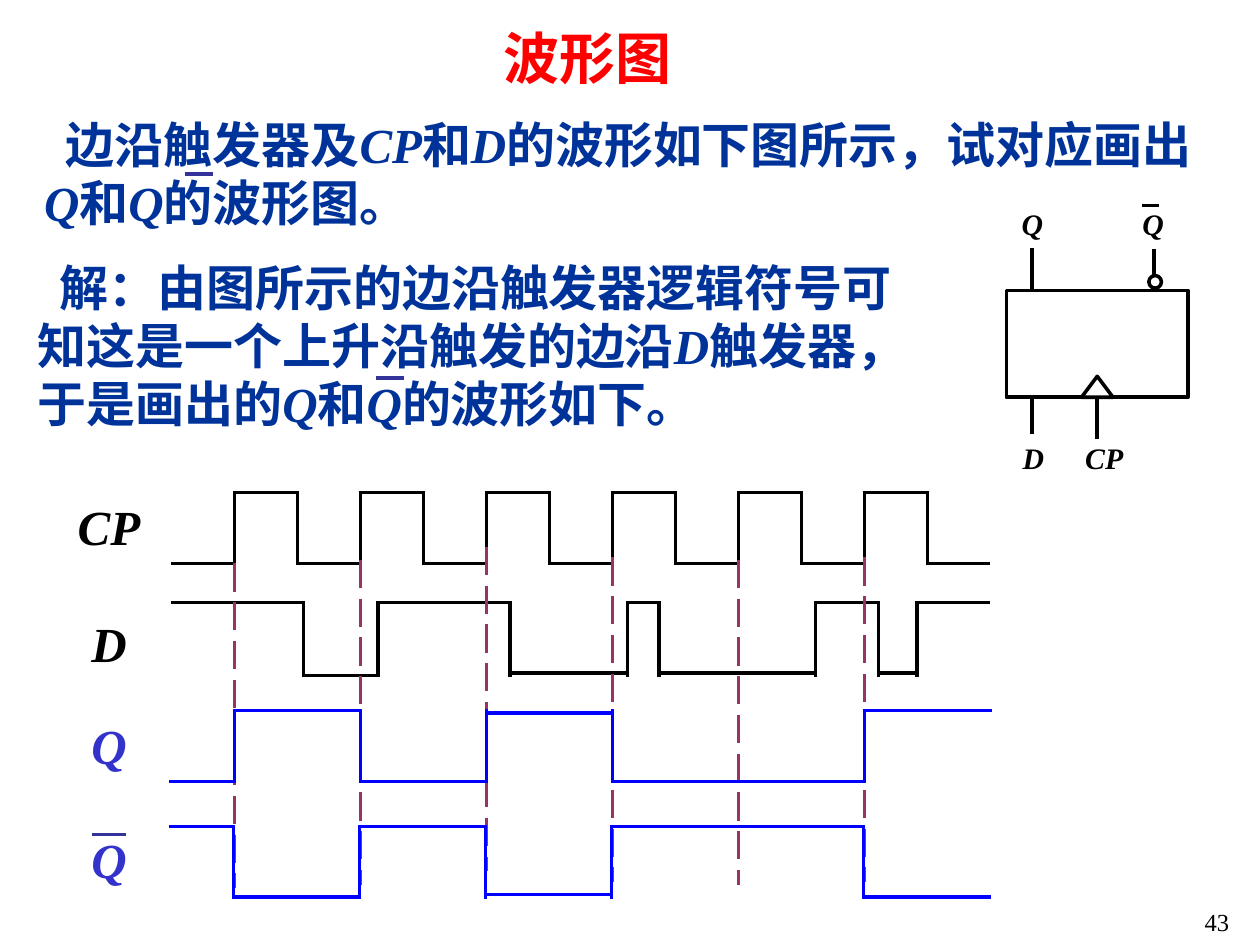
from lxml.etree import SubElement
from pptx import Presentation
from pptx.dml.color import RGBColor
from pptx.enum.dml import MSO_LINE
from pptx.enum.shapes import MSO_CONNECTOR, MSO_SHAPE
from pptx.enum.text import MSO_ANCHOR, MSO_AUTO_SIZE, PP_ALIGN
from pptx.oxml.ns import qn
from pptx.util import Pt

HAN, LATIN = "Noto Sans CJK SC", "Times New Roman"
BLACK, WHITE, RED = "000000", "FFFFFF", "FF0000"
NAVY, INDIGO, VIOLET, BLUE, PLUM = "003399", "333399", "3333CC", "0000FF", "993366"
FIRST_EDGE, CLOCK_PERIOD = 134, 72


def color(hex_value):
    """Turn a hex string into a colour."""
    return RGBColor.from_string(hex_value)


def set_attributes(target, values):
    """Set every attribute named in a dict."""
    for name, value in values.items():
        setattr(target, name, value)


def place(shape, left, top, width, height):
    """Move a shape to a box given in points."""
    set_attributes(shape, {"left": Pt(left), "top": Pt(top),
                           "width": Pt(width), "height": Pt(height)})


def set_frame(frame, side=0, edge=0):
    """Give a text frame its margins and top-aligned wrapping text."""
    set_attributes(frame, {
        "margin_left": Pt(side), "margin_right": Pt(side),
        "margin_top": Pt(edge), "margin_bottom": Pt(edge),
        "word_wrap": True, "auto_size": MSO_AUTO_SIZE.NONE,
        "vertical_anchor": MSO_ANCHOR.TOP})


def add_run(paragraph, text, size, hex_value, latin=LATIN, bold=True, italic=False):
    """Append a formatted run with its East Asian font."""
    run = paragraph.add_run()
    run.text = text
    set_attributes(run.font, {"name": latin, "size": Pt(size),
                              "bold": bold, "italic": italic})
    run.font.color.rgb = color(hex_value)
    SubElement(run.font._element, qn("a:ea")).set("typeface", HAN)


def fill_title(title, text):
    """Place and write the heading."""
    place(title, 181.5, 10, 308, 46)
    set_frame(title.text_frame, 7.2, 3.6)
    heading = title.text_frame.paragraphs[0]
    heading.alignment = PP_ALIGN.CENTER
    add_run(heading, text, 32, RED)


def fill_body(body, box, text):
    """Write a paragraph whose starred parts are italic symbols."""
    place(body, *box)
    set_frame(body.text_frame, 7.2, 3.6)
    paragraph = body.text_frame.paragraphs[0]
    properties = paragraph._p.get_or_add_pPr()
    properties.set("marL", "0")
    properties.set("indent", str(Pt(12.5)))
    SubElement(properties, qn("a:buNone"))
    set_attributes(paragraph, {"space_before": Pt(0), "line_spacing": Pt(33.4),
                               "alignment": PP_ALIGN.LEFT})
    for index, part in enumerate(text.split("*")):
        symbol = index % 2 == 1
        add_run(paragraph, part, 28, NAVY, LATIN if symbol else HAN, italic=symbol)


def add_label(slide, text, box, size, hex_value=BLACK):
    """Add a centred bold italic signal name."""
    label = slide.shapes.add_textbox(*map(Pt, box))
    set_frame(label.text_frame)
    paragraph = label.text_frame.paragraphs[0]
    paragraph.alignment = PP_ALIGN.CENTER
    add_run(paragraph, text, size, hex_value, italic=True)


def add_page_number(slide, text):
    """Add the page number at the lower right."""
    number = slide.shapes.add_textbox(Pt(559.5), Pt(515), Pt(150), Pt(36))
    set_frame(number.text_frame, 7.2, 3.6)
    paragraph = number.text_frame.paragraphs[0]
    paragraph.alignment = PP_ALIGN.RIGHT
    add_run(paragraph, text, 14, BLACK, bold=False)


def add_line(slide, start, end, hex_value=BLACK, width=2, dash=None):
    """Add a straight line without shadow."""
    line = slide.shapes.add_connector(MSO_CONNECTOR.STRAIGHT, *map(Pt, start + end))
    SubElement(line._element.spPr, qn("a:effectLst"))
    line.line.color.rgb = color(hex_value)
    set_attributes(line.line, {"width": Pt(width), "dash_style": dash})


def outline(shape):
    """Give a symbol part white fill and a black line."""
    shape.shadow.inherit = False
    shape.fill.solid()
    shape.fill.fore_color.rgb = color(WHITE)
    shape.line.color.rgb = color(BLACK)
    shape.line.width = Pt(2)


def add_flip_flop(slide):
    """Draw the logic symbol with its pins and names."""
    for x, top, bottom in ((659.5, 142.5, 220), (627, 207, 251), (589.7, 142, 248)):
        add_line(slide, (x, top), (x, bottom))
    for kind, box in ((MSO_SHAPE.RECTANGLE, (575, 166, 104, 61)),
                      (MSO_SHAPE.OVAL, (656.5, 157.5, 7.2, 7.2))):
        outline(slide.shapes.add_shape(kind, *map(Pt, box)))
    clock_mark = slide.shapes.build_freeform(627, 215.3, scale=Pt(1))
    clock_mark.add_line_segments([(618.5, 226.8), (635.5, 226.8)], close=True)
    outline(clock_mark.convert_to_shape())
    for name, center, top in (("Q", 590, 117.4), ("Q", 659, 117.4),
                              ("CP", 631, 251.3), ("D", 590.5, 251.3)):
        add_label(slide, name, (center - 13, top, 26, 20), 17)
    add_line(slide, (652.5, 117.4), (662.5, 117.4), width=1.39)


def add_waveform(slide, span, edges, high, levels, hex_value):
    """Draw a signal through its levels, with a jump at every edge."""
    low = max(levels)
    for x in edges:
        add_line(slide, (x, low + 1), (x, high - 1), hex_value)
    stops = [span[0], *edges, span[1]]
    for start, end, level in zip(stops, stops[1:], levels):
        add_line(slide, (start, level), (end, level), hex_value)


def main():
    """Build the slide."""
    deck = Presentation()
    set_attributes(deck, {"slide_width": Pt(720), "slide_height": Pt(540)})
    slide = deck.slides.add_slide(deck.slide_layouts[3])
    title, question, solution = slide.placeholders
    fill_title(title, "波形图")
    add_flip_flop(slide)
    fill_body(question, (18, 62, 682.5, 75),
              "边沿触发器及*CP*和*D*的波形如下图所示，试对应画出*Q*和*Q*的波形图。")
    fill_body(solution, (14.4, 143.5, 526, 108),
              "解：由图所示的边沿触发器逻辑符号可知这是一个上升沿触发的边沿*D*"
              "触发器，于是画出的*Q*和*Q*的波形如下。")
    for x, y, length in ((106, 99.3, 16), (214.7, 216, 16)):
        add_line(slide, (x, y), (x + length, y), INDIGO)

    clock_edges = [FIRST_EDGE + CLOCK_PERIOD / 2 * step for step in range(12)]
    add_waveform(slide, (98, 566), clock_edges, 281.5, [322, 281.5] * 6 + [322], BLACK)
    data_edges = [173.5, 216, 291.5, 358.5, 376.5, 466, 502, 524]
    add_waveform(slide, (98, 566), data_edges, 344.3,
                 [344.3, 386, 344.3, 384.7, 344.3, 384.7, 344.3, 384.7, 344.3], BLACK)
    for x, top in zip(clock_edges[::2], (322, 320, 312.5, 318.5, 320, 318.5)):
        add_line(slide, (x, top), (x, top + 185.5), PLUM, dash=MSO_LINE.LONG_DASH)

    output_edges = [FIRST_EDGE + CLOCK_PERIOD * cycle for cycle in (0, 1, 2, 3, 5)]
    add_waveform(slide, (96.7, 566.7), output_edges, 406,
                 [446.5, 406, 446.5, 407.3, 446.5, 406], BLUE)
    add_waveform(slide, (96.3, 566.4), [x - 0.6 for x in output_edges], 472.2,
                 [472.2, 512.5, 472.2, 511.2, 472.2, 512.5], BLUE)
    for name, top, hex_value in (("CP", 283.7, BLACK), ("D", 350.6, BLACK),
                                 ("Q", 409, VIOLET), ("Q", 474, VIOLET)):
        add_label(slide, name, (41.3, top, 42, 34), 28, hex_value)
    add_line(slide, (52.8, 477), (72, 477), INDIGO)
    add_page_number(slide, "43")
    deck.save("out.pptx")


if __name__ == "__main__":
    main()
